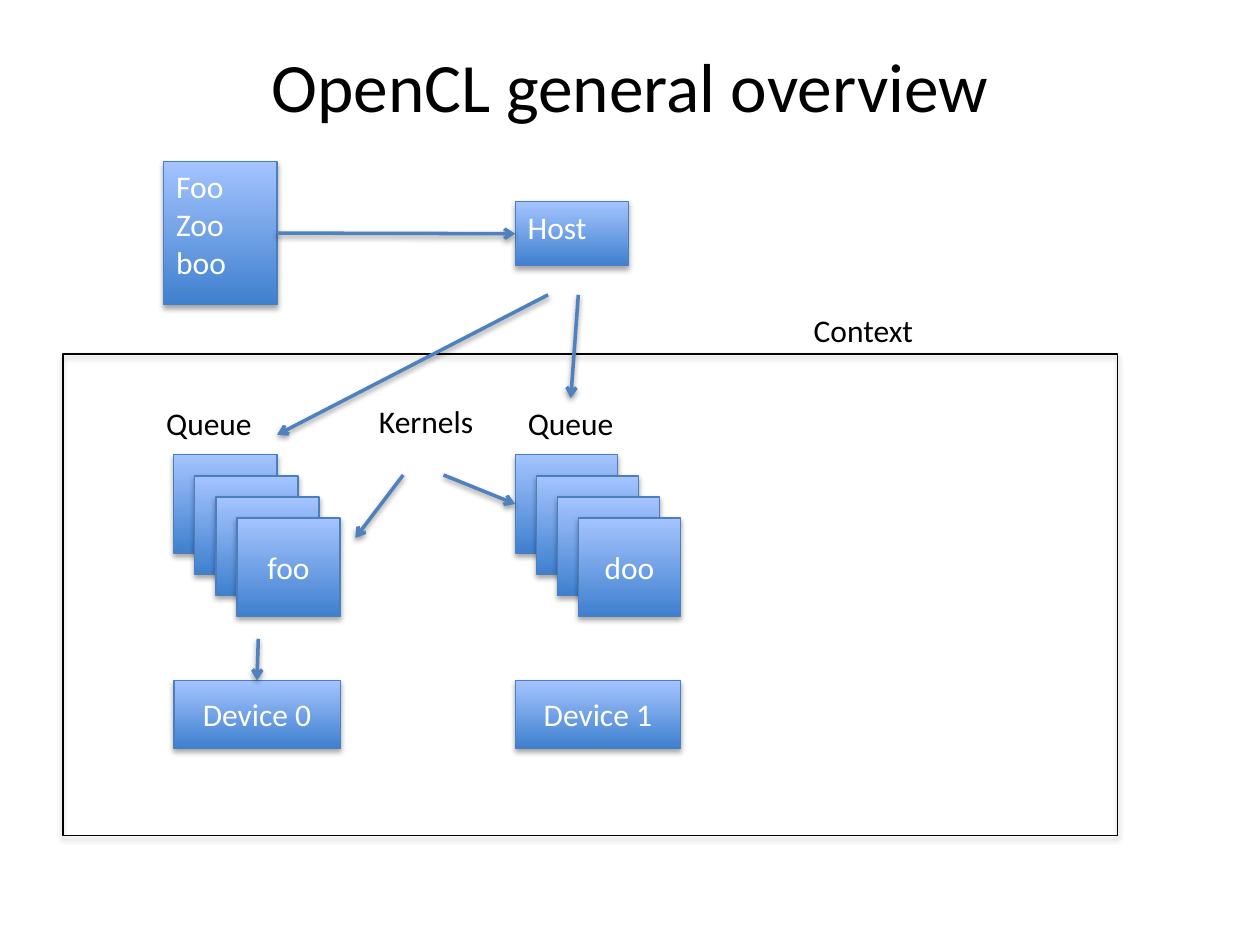
from collections import namedtuple

from lxml.etree import SubElement
from pptx import Presentation
from pptx.dml.color import RGBColor as RGB
from pptx.enum.shapes import MSO_CONNECTOR as LINK, MSO_SHAPE as PRESET
from pptx.enum.text import MSO_ANCHOR as ANCHOR, MSO_AUTO_SIZE as FIT, PP_ALIGN as ALIGN
from pptx.oxml.ns import qn
from pptx.util import Inches, Pt

COLORS = {"ink": "000000", "light": "FFFFFF", "top": "A4C4FF", "bottom": "3F80CE",
          "border": "4B7EBC", "arrow": "4F81BD"}
COLUMNS, ROWS = 100, 75
CELL = Inches(10) // COLUMNS
TOP, LEFT, RIGHT = 0, 1, 3
CENTERED = {"align": ALIGN.CENTER, "anchor": ANCHOR.MIDDLE}
Box = namedtuple("Box", "left top width height")


def color(name):
    """Return the palette color of that name."""
    return RGB.from_string(COLORS[name])


def cells(*counts):
    """Turn counts of grid cells into lengths."""
    return [round(count * CELL) for count in counts]


def inside(box, x, y, width, height):
    """Return a box placed relative to the corner of another."""
    return Box(box.left + x, box.top + y, width, height)


def apply(target, values):
    """Set each named attribute of the target."""
    for name, value in values.items():
        setattr(target, name, value)


def cast_shadow(drawn, distance, opacity):
    """Add a soft shadow falling straight down."""
    effects = SubElement(drawn.element.spPr, qn("a:effectLst"))
    shadow = SubElement(effects, qn("a:outerShdw"), blurRad="40000", dist=str(distance),
                        dir="5400000", rotWithShape="0")
    black = SubElement(shadow, qn("a:srgbClr"), val=COLORS["ink"])
    SubElement(black, qn("a:alpha"), val=str(opacity * 1000))


def write(frame, lines, ink, size=18, align=ALIGN.LEFT, anchor=ANCHOR.TOP):
    """Write one paragraph for each line of text."""
    frame.vertical_anchor = anchor
    for index, line in enumerate(lines):
        paragraph = frame.add_paragraph() if index else frame.paragraphs[0]
        paragraph.alignment = align
        run = paragraph.add_run()
        run.text = line
        apply(run.font, {"name": "Calibri", "size": Pt(size)})
        run.font.color.rgb = color(ink)


def add_rectangle(slide, box, border):
    """Add an outlined rectangle."""
    rectangle = slide.shapes.add_shape(PRESET.RECTANGLE, *cells(*box))
    rectangle.line.color.rgb = color(border)
    rectangle.line.width = Pt(0.75)
    return rectangle


def add_block(slide, box, lines=(), **layout):
    """Add a blue gradient block with optional text."""
    block = add_rectangle(slide, box, "border")
    block.fill.gradient()
    block.fill.gradient_angle = 90
    for stop, name, position in zip(block.fill.gradient_stops, ("bottom", "top"), (0, 1)):
        stop.position = position
        stop.color.rgb = color(name)
    cast_shadow(block, 23000, 35)
    write(block.text_frame, lines, "light", **layout)
    return block


def add_label(slide, box, text):
    """Add a black caption that fits its text."""
    frame = slide.shapes.add_textbox(*cells(*box)).text_frame
    apply(frame, {"word_wrap": False, "auto_size": FIT.SHAPE_TO_FIT_TEXT})
    write(frame, [text], "ink")


def add_arrow(slide, start, end):
    """Add an arrow between two grid points."""
    arrow = slide.shapes.add_connector(LINK.STRAIGHT, *cells(*start, *end))
    arrow.line.color.rgb = color("arrow")
    arrow.line.width = Pt(2)
    SubElement(arrow.line._get_or_add_ln(), qn("a:tailEnd"), type="arrow")
    cast_shadow(arrow, 20000, 38)
    return arrow


def draw_title(slide, box):
    """Draw the slide heading."""
    frame = slide.shapes.add_textbox(*cells(*box)).text_frame
    frame.word_wrap = True
    write(frame, ["OpenCL general overview"], "ink", size=39.6, **CENTERED)


def draw_program(slide, box):
    """Draw the source functions handed to the host."""
    host = add_block(slide, inside(box, 27.9, 3.2, 9, 5.1), ["Host"])
    functions = add_block(slide, inside(box, 0, 0, 9, box.height), ["Foo", "Zoo", "boo"])
    handover = add_arrow(slide, (box.left + 9, box.top + 5.7), (box.left + 27.9, box.top + 5.7))
    handover.begin_connect(functions, RIGHT)
    handover.end_connect(host, LEFT)


def draw_queue(slide, box, kernel, device, label_shift):
    """Draw a queue of stacked kernels above its device; return back card and device."""
    step, count = 1.67, 4
    card_width = box.width - step * (count - 1)
    cards = [add_block(slide, inside(box, step * i, step * i, card_width, 7.8),
                       [kernel] if i == count - 1 else [], **CENTERED)
             for i in range(count)]
    target = add_block(slide, inside(box, 0, box.height - 5.4, box.width, 5.4),
                       [device], **CENTERED)
    add_label(slide, inside(box, label_shift, -4.5, 8.9, 4), "Queue")
    return cards[0], target


def draw_context(slide, box):
    """Draw the context frame with its queues, devices and arrows."""
    first_card, first_device = draw_queue(
        slide, inside(box, 8.8, 8, 13.2, 23.3), "foo", "Device 0", -1.6)
    second_card, second_device = draw_queue(
        slide, inside(box, 35.9, 8, 13.1, 23.3), "doo", "Device 1", 0)
    frame = add_rectangle(slide, box, "ink")
    frame.fill.background()
    cast_shadow(frame, 23000, 35)
    add_label(slide, inside(box, 58.6, -3.9, 10.1, 4), "Context")
    add_label(slide, inside(box, 24.1, 3.3, 9.6, 4), "Kernels")

    routes = {
        "host to first queue": ((38.5, -4.7), (17, 6.4), None, None),
        "host to second queue": ((40.9, -4.7), (40.3, 3.5), None, None),
        "kernels to first queue": ((27, 9.6), (23.2, 14.6), None, None),
        "kernels to second queue": ((30.2, 9.6), (35.9, 11.9), second_card, LEFT),
        "first queue to device": ((15.5, 22.6), (15.4, 25.9), first_device, TOP),
    }
    for start, end, target, side in routes.values():
        points = [(box.left + x, box.top + y) for x, y in (start, end)]
        arrow = add_arrow(slide, *points)
        if target is not None:
            arrow.end_connect(target, side)


def main():
    """Build and save the slide."""
    deck = Presentation()
    apply(deck, {"slide_width": COLUMNS * CELL, "slide_height": ROWS * CELL})
    slide = deck.slides.add_slide(deck.slide_layouts[6])
    draw_title(slide, Box(5, 3, 90, 7.4))
    draw_program(slide, Box(13, 12.8, 36.9, 11.4))
    draw_context(slide, Box(5, 28.1, 83.7, 38.2))
    deck.save("out.pptx")


if __name__ == "__main__":
    main()
